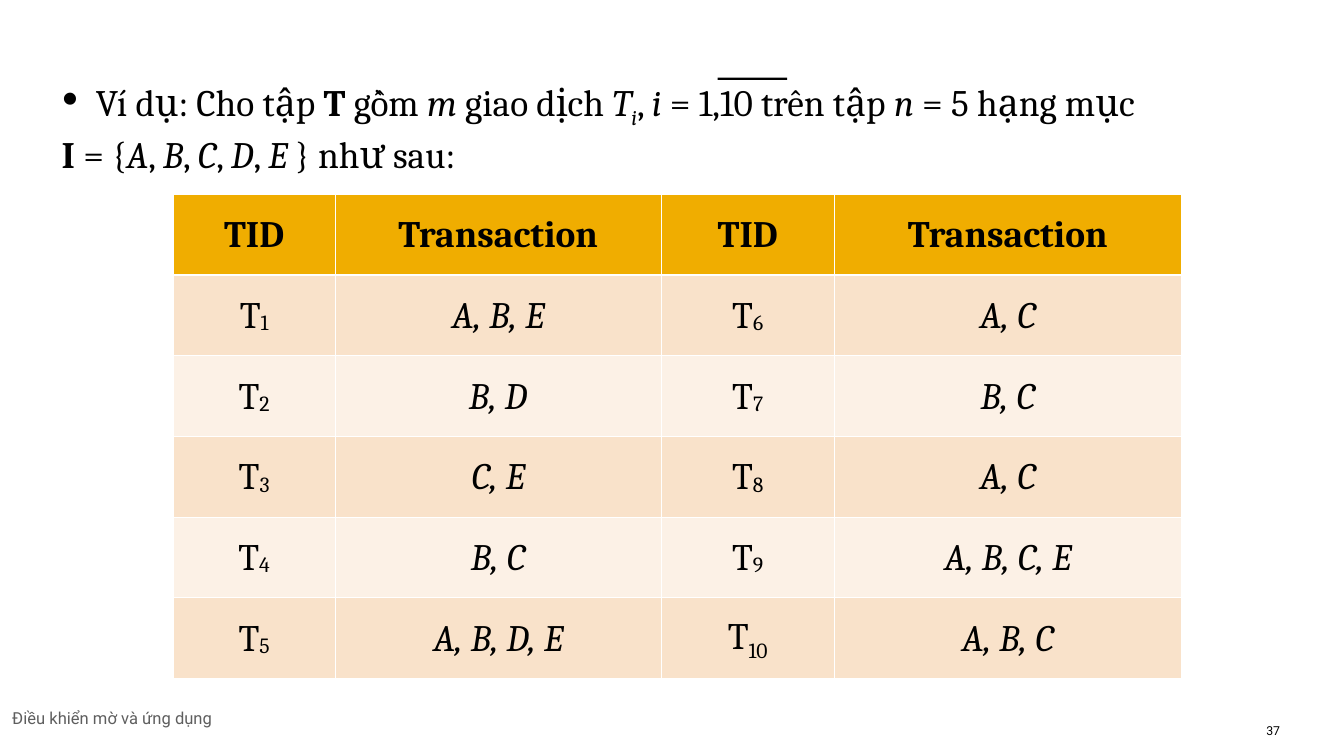
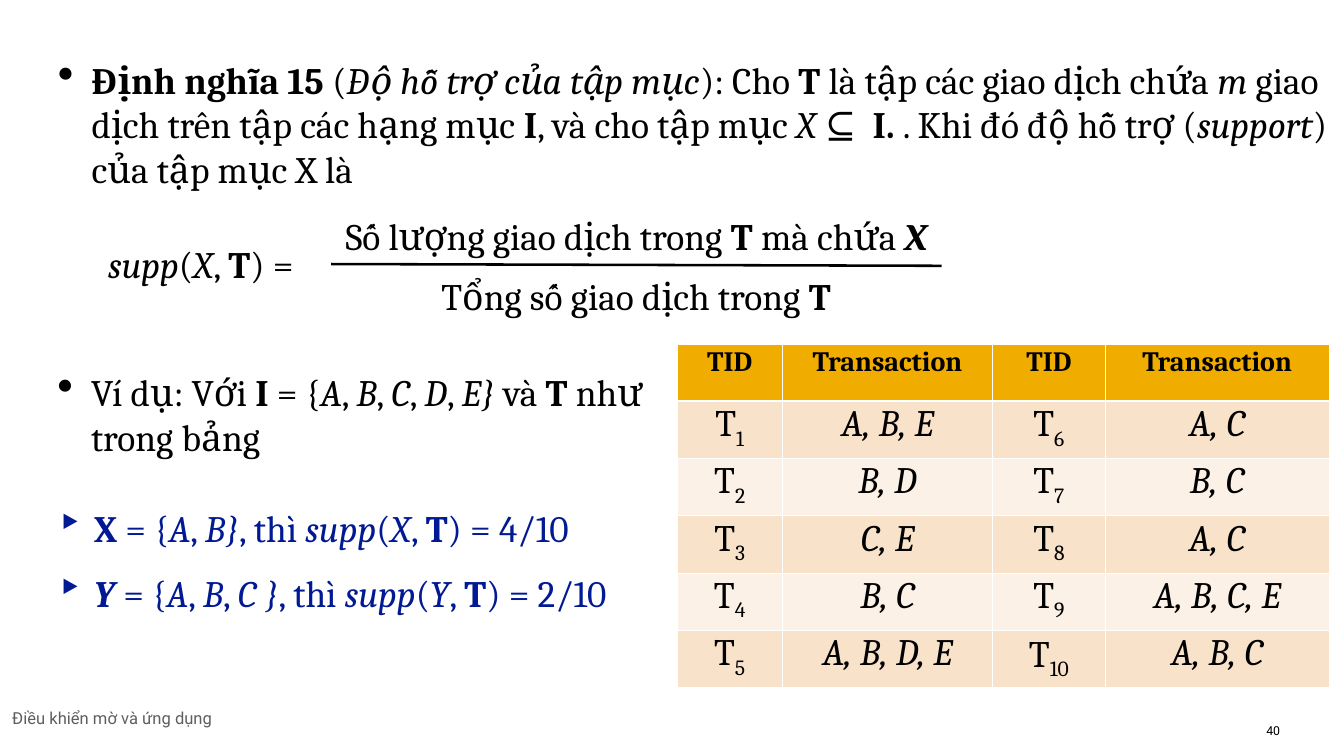
from pptx import Presentation
from pptx import util as u
from pptx.dml.color import RGBColor
from pptx.enum import shapes, text
from pptx.oxml import parse_xml
from pptx.oxml.ns import nsdecls, qn

HUE = {"ink": "000000", "white": "FFFFFF", "gold": "F0AD00", "sand": "F9E2CA",
       "cream": "FCF1E6", "blue": "011993", "grey": "5E5E5E"}
SERIF, SANS = "Cambria", "Roboto"
PAGE = (0, 0, u.Inches(21.99), u.Inches(12.37))
MID = text.PP_ALIGN.CENTER
DOT = {"mark": "•", "ratio": 124, "hang": 0.55}
ARROW = {"mark": "‣", "ratio": 113, "hang": 0.6}
COLS = (0.161, 0.323, 0.172, 0.344)
SETS = ("A, B, E", "B, D", "C, E", "B, C", "A, B, D, E",
        "A, C", "B, C", "A, C", "A, B, C, E", "A, B, C")


def rgb(name):
    return RGBColor.from_string(HUE[name])


def part(box, x, y, w, h):
    """Box given in percent of another box."""
    left, top, wide, high = box
    return (round(left + wide * x / 100), round(top + high * y / 100),
            round(wide * w / 100), round(high * h / 100))


def spans(line):
    """Split marked text: * bold, _ italic, ~ subscript."""
    on, word = {"*": False, "_": False, "~": False}, ""
    for sign in line + "~":
        if sign in on:
            if word:
                yield word, on["*"], on["_"], on["~"]
            on[sign], word = not on[sign], ""
        else:
            word += sign


def bullet(para, mark, ratio, hang):
    props = para._p.get_or_add_pPr()
    props.set("marL", str(u.Inches(hang + 0.01)))
    props.set("indent", str(-u.Inches(hang)))
    for tag, key, val in (("buSzPct", "val", ratio * 1000), ("buChar", "char", mark)):
        props.append(parse_xml(f'<a:{tag} {nsdecls("a")} {key}="{val}"/>'))


def write(para, line, size=44, font=SERIF, hue="ink", align=None, before=0,
          after=0, lead=None, sub=-25, mark=None):
    para.space_before, para.space_after = u.Pt(before), u.Pt(after)
    if align is not None:
        para.alignment = align
    if lead:
        para.line_spacing = u.Pt(lead)
    if mark:
        bullet(para, **mark)
    for word, bold, slant, low in spans(line):
        run = para.add_run()
        run.text = word
        face = run.font
        face.name, face.size, face.bold, face.italic = font, u.Pt(size), bold, slant
        face.color.rgb = rgb(hue)
        if low:
            run._r.get_or_add_rPr().set("baseline", str(sub * 1000))


def label(slide, box, *lines, pad=(0, 0.02), **look):
    """Text box; a line may be a pair of text and its own format."""
    frame = slide.shapes.add_textbox(*box).text_frame
    frame.word_wrap = True
    frame.margin_left = frame.margin_right = u.Inches(pad[0])
    frame.margin_top = u.Inches(pad[1])
    frame.margin_bottom = u.Inches(pad[1] if pad[0] else 0)
    for i, line in enumerate(lines):
        line, own = line if isinstance(line, tuple) else (line, {})
        para = frame.add_paragraph() if i else frame.paragraphs[0]
        write(para, line, **{**look, **own})


def edges(cell, **widths):
    props = cell._tc.get_or_add_tcPr()
    for side in "LRTB":
        props.append(parse_xml(
            f'<a:ln{side} {nsdecls("a")} w="{u.Pt(widths.get(side, 1))}"><a:solidFill>'
            f'<a:srgbClr val="{HUE["white"]}"/></a:solidFill></a:ln{side}>'))


def grid(slide, box, head=44, sub=-25, anchor=text.MSO_ANCHOR.TOP):
    """Transaction table: two column pairs, five transactions in each."""
    half = len(SETS) // 2
    table = slide.shapes.add_table(half + 1, len(COLS), *box).table
    for col, share in zip(table.columns, COLS):
        col.width = round(box[2] * share)
    for r, row in enumerate(table.rows):
        row.height = round(box[3] / (half + 1))
        for c, cell in enumerate(row.cells):
            n = r + half * (c // 2)
            if r == 0:
                line, fill = ("*TID*", "*Transaction*")[c % 2], "gold"
            else:
                line = f"_{SETS[n - 1]}_" if c % 2 else f"T~{n}~"
                fill = "sand" if r % 2 else "cream"
            edges(cell, B=1 if r else 3, T=3 if r == 1 else 1)
            cell.fill.solid()
            cell.fill.fore_color.rgb = rgb(fill)
            cell.margin_left = cell.margin_right = cell.margin_bottom = 0
            last = n == len(SETS) and c == 2
            cell.margin_top = u.Inches(0.06 if last else 0.03)
            cell.vertical_anchor = anchor
            write(cell.text_frame.paragraphs[0], line, size=44 if r else head,
                  align=MID, before=4.5 if last else 1.8, sub=-25 if last else sub)


def footer(slide, number):
    label(slide, part(PAGE, 0.91, 93.53, 24.83, 2.83), "Điều khiển mờ và ứng dụng",
          pad=(0, 0.01), size=19.5, font=SANS, hue="grey", before=0.7, lead=23.9)
    label(slide, part(PAGE, 94.22, 95.63, 1.96, 2.02), str(number),
          pad=(0, 0.01), size=14.5, font=SANS, before=0.6)


def intro(slide, box):
    label(slide, box,
          ("Vı́ dụ: Cho tập *T* gồm _m_ giao dịch _T~i~_, _i_ = 1,10 trên tập "
           "_n_ = 5 hạng mục", {"mark": DOT}),
          "*I* = {_A_, _B_, _C_, _D_, _E_ } như sau:", before=1.2)
    # Bar over the index range
    bar = slide.shapes.add_shape(shapes.MSO_SHAPE.RECTANGLE, *part(box, 52.6, 0, 5.59, 2.4))
    bar.shadow.inherit = False
    bar.fill.solid()
    bar.fill.fore_color.rgb = rgb("ink")
    bar.line.fill.background()


def formula(slide, box):
    label(slide, part(box, 0, 24.6, 27.3, 45.9), "_supp_(_X_, *T*) =", pad=(0.1, 0.05))
    label(slide, part(box, 27.2, 0, 72.8, 100),
          "Số lượng giao dịch trong *T* mà chứa *_X_*",
          "Tổng số giao dịch trong *T*",
          pad=(0.1, 0.05), align=MID, before=6, after=12)
    # Fraction line
    x, y, w, h = part(box, 27.3, 48.1, 72.7, 1.6)
    rule = slide.shapes.add_connector(shapes.MSO_CONNECTOR.STRAIGHT, x, y, x + w, y + h)
    rule.line.color.rgb = rgb("ink")
    rule.line.width = u.Pt(3)
    rule._element.find(qn("p:spPr")).append(parse_xml(f'<a:effectLst {nsdecls("a")}/>'))


def sample(slide, box):
    label(slide, part(box, 0, 0, 100, 56.5),
          "Vı́ dụ: Với *I* = {_A_, _B_, _C_, _D_, _E}_ và *T* như trong bảng",
          before=1.2, mark=DOT)
    label(slide, part(box, 0, 49.6, 94.2, 50.4),
          ("*X* = {_A_, _B}_, thı̀ _supp_(_X_, *T*) = 4/10", {"before": 16.8}),
          ("*_Y_* = {_A_, _B_, _C }_, thı̀ _supp_(_Y_, *T*) = 2/10", {"before": 23.8}),
          pad=(0, 0.23), hue="blue", mark=ARROW)


def data(slide):
    intro(slide, part(PAGE, 4.59, 10.27, 92.77, 12.13))
    grid(slide, part(PAGE, 12.87, 25.71, 75.03, 64.03), sub=-6,
         anchor=text.MSO_ANCHOR.MIDDLE)


def support(slide):
    label(slide, part(PAGE, 4.27, 7.36, 94.63, 18.11),
          "*Định nghĩa 15* (_Độ hỗ trợ của tập mục_): Cho *T* là tập các giao dịch "
          "chứa _m_ giao dịch trên tập các hạng mục *I*, và cho tập mục _X_ ⊆  *I. *"
          ". Khi đó độ hỗ trợ (_support_) của tập mục X là", before=1.4, mark=DOT)
    formula(slide, part(PAGE, 7.59, 27.81, 62.48, 14.79))
    sample(slide, part(PAGE, 4.23, 48.67, 48.39, 32.9))
    grid(slide, part(PAGE, 50.39, 45.51, 48.52, 45.43), head=33)


def main():
    deck = Presentation()
    deck.slide_width, deck.slide_height = PAGE[2:]
    for build, number in ((data, 37), (support, 40)):
        slide = deck.slides.add_slide(deck.slide_layouts[6])
        build(slide)
        footer(slide, number)
    deck.save("out.pptx")


if __name__ == "__main__":
    main()
